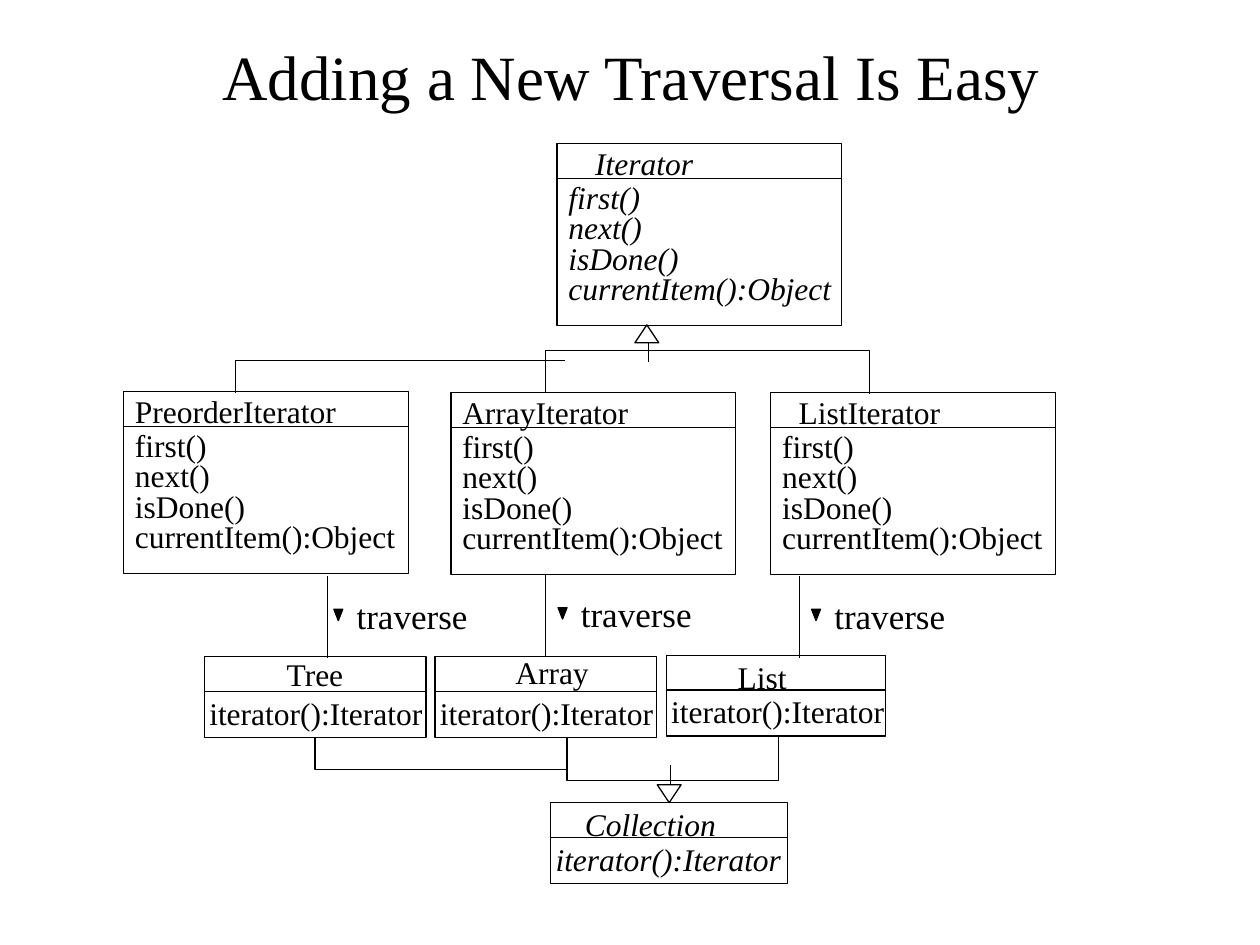
"""Builds a class diagram slide about adding a new traversal to the Iterator pattern."""
import dataclasses

import lxml.etree
import pptx
import pptx.dml.color
import pptx.enum.shapes
import pptx.enum.text
import pptx.oxml.ns
import pptx.util

Cm = pptx.util.Cm
Shapes = pptx.enum.shapes.MSO_SHAPE
Connectors = pptx.enum.shapes.MSO_CONNECTOR
qn = pptx.oxml.ns.qn


@dataclasses.dataclass(frozen=True)
class Theme:
    font: str = "Times New Roman"
    ink: pptx.dml.color.RGBColor = pptx.dml.color.RGBColor(0, 0, 0)
    title_size: int = 36
    label_size: int = 20
    class_size: int = 18
    line_width: float = 0.75


class DiagramPage:
    def __init__(self, page, theme):
        self.page = page
        self.theme = theme

    def style_font(self, para, size, italic=False):
        para.font.name = self.theme.font
        para.font.size = pptx.util.Pt(size)
        para.font.italic = italic
        para.font.color.rgb = self.theme.ink

    def style_line(self, line):
        line.color.rgb = self.theme.ink
        line.width = pptx.util.Pt(self.theme.line_width)

    def title(self, text, left, top, width, height):
        box = self.page.shapes.title
        box.left, box.top, box.width, box.height = map(Cm, (left, top, width, height))
        box.text_frame.text = text
        box.text_frame.vertical_anchor = pptx.enum.text.MSO_ANCHOR.MIDDLE
        para = box.text_frame.paragraphs[0]
        para.alignment = pptx.enum.text.PP_ALIGN.CENTER
        self.style_font(para, self.theme.title_size)

    def text(self, lines, left, top, width, height, size, italic=False):
        box = self.page.shapes.add_textbox(Cm(left), Cm(top), Cm(width), Cm(height))
        frame = box.text_frame
        frame.margin_left = frame.margin_right = frame.margin_top = frame.margin_bottom = 0
        frame.word_wrap = False
        frame.auto_size = pptx.enum.text.MSO_AUTO_SIZE.SHAPE_TO_FIT_TEXT
        frame.text = "\n".join(lines)
        for para in frame.paragraphs:
            if len(lines) > 1:
                para.line_spacing = 0.8
            self.style_font(para, size, italic)

    def shape(self, kind, left, top, width, height, filled=False, inverted=False):
        shape = self.page.shapes.add_shape(kind, Cm(left), Cm(top), Cm(width), Cm(height))
        shape.shadow.inherit = False
        if filled:
            shape.fill.solid()
            shape.fill.fore_color.rgb = self.theme.ink
        else:
            shape.fill.background()
        self.style_line(shape.line)
        shape.rotation = 180 if inverted else 0

    def line(self, start, end, kind=Connectors.STRAIGHT):
        connector = self.page.shapes.add_connector(kind, *map(Cm, (*start, *end)))
        self.style_line(connector.line)
        lxml.etree.SubElement(connector._element.spPr, qn("a:effectLst"))
        return connector

    def elbow(self, left, top, width, height, rotation, reach=0):
        """Draws a turned elbow; a reach makes it a bracket that deep."""
        first, last = (top + height, top) if rotation == 90 else (top, top + height)
        connector = self.line((left + width, first), (left, last), Connectors.ELBOW)
        properties = connector._element.spPr
        properties.find(qn("a:xfrm")).set("rot", str(rotation * 60000))
        geometry = properties.find(qn("a:prstGeom"))
        if reach:
            guides = geometry.find(qn("a:avLst"))
            ratio = round(-reach / width * 100000)
            lxml.etree.SubElement(guides, qn("a:gd"), name="adj1", fmla=f"val {ratio}")
        else:
            geometry.set("prst", "bentConnector2")

    def class_box(self, name, name_at, frame, members, members_at, italic=False):
        left, top, width, height = frame
        size = self.theme.class_size
        name_left, name_top, name_width = name_at
        indent, drop, members_width, members_height = members_at
        self.shape(Shapes.RECTANGLE, *frame)
        self.text([name], name_left, name_top, name_width, 0.76, size, italic)
        self.line((left, top + 0.7), (left + width, top + 0.7))
        self.text(members, left + indent, top + drop, members_width, members_height, size, italic)

    def iterator_class(self, name, left, top, name_left, name_width, italic=False):
        members = ["first()", "next()", "isDone()", "currentItem():Object"]
        self.class_box(name, (name_left, top, name_width), (left, top, 5.74, 3.66), members,
                       (0.23, 0.84, 5.36 if italic else 5.3, 2.44), italic)

    def collection_class(self, name, left, top, width, name_at, italic=False):
        self.class_box(name, name_at, (left, top, width, 1.63), ["iterator():Iterator"],
                       (0.1, 0.75, 4.6 if italic else 4.35, 0.76), italic)

    def traversal(self, left, top, marker_left):
        self.line((left, top), (left, top + 1.65))
        self.shape(Shapes.ISOSCELES_TRIANGLE, marker_left, top + 0.67, 0.18, 0.23, True, True)
        self.text(["traverse"], marker_left + 0.46, top + 0.37, 2.27, 0.84, self.theme.label_size)

    def inheritance(self, left, top, stem_left, stem_top, inverted=False):
        self.shape(Shapes.ISOSCELES_TRIANGLE, left, top, 0.48, 0.36, inverted=inverted)
        self.line((stem_left, stem_top), (stem_left, stem_top + 0.39))


def main():
    deck = pptx.Presentation()
    deck.slide_width, deck.slide_height = Cm(25.4), Cm(19.05)
    diagram = DiagramPage(deck.slides.add_slide(deck.slide_layouts[5]), Theme())
    diagram.title("Adding a New Traversal Is Easy", 0.58, 0.61, 24.28, 1.83)

    diagram.iterator_class("Iterator", 11.23, 2.9, 12, 2.02, italic=True)
    for name, left, top, name_left, name_width in (
        ("PreorderIterator", 2.49, 7.9, 2.72, 4.1),
        ("ArrayIterator", 9.09, 7.92, 9.32, 3.4),
        ("ListIterator", 15.54, 7.92, 16.1, 2.9),
    ):
        diagram.iterator_class(name, left, top, name_left, name_width)

    for name, left, top, width, name_at in (
        ("Tree", 4.12, 13.24, 4.47, (5.78, 13.21, 1.2)),
        ("Array", 8.77, 13.24, 4.47, (10.39, 13.16, 1.52)),
        ("List", 13.43, 13.21, 4.42, (14.87, 13.26, 1.03)),
    ):
        diagram.collection_class(name, left, top, width, name_at)
    diagram.collection_class("Collection", 11.1, 16.18, 4.78, (11.79, 16.23, 2.7), italic=True)

    for left, top, marker_left in ((6.6, 11.61, 6.73), (11, 11.58, 11.25), (16.12, 11.61, 16.36)):
        diagram.traversal(left, top, marker_left)

    diagram.inheritance(12.8, 6.55, 13.08, 6.91)
    diagram.elbow(14.26, 4.67, 0.01, 6.53, 270, reach=0.86)
    diagram.elbow(7.75, 4.27, 0.64, 6.65, 90)
    diagram.inheritance(13.25, 15.82, 13.51, 15.43, inverted=True)
    diagram.elbow(13.56, 12.73, 0.01, 4.27, 90, reach=0.86)
    diagram.elbow(8.56, 12.65, 0.66, 5.08, 270)
    deck.save("out.pptx")


if __name__ == "__main__":
    main()
